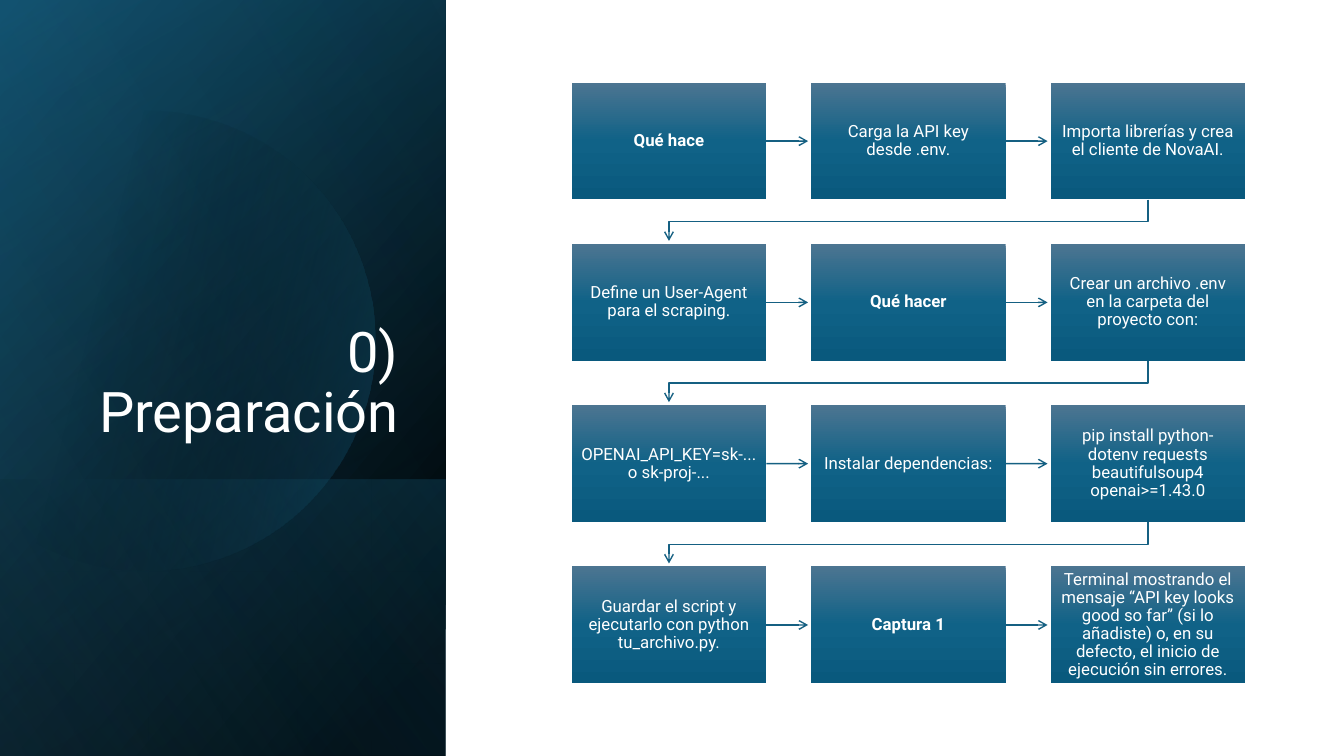
from math import cos, pi, sin

from pptx import Presentation
from pptx.dml.color import RGBColor
from pptx.enum.shapes import MSO_CONNECTOR, MSO_SHAPE
from pptx.enum.text import MSO_ANCHOR, PP_ALIGN
from pptx.oxml import parse_xml
from pptx.oxml.ns import nsdecls, qn
from pptx.util import Inches, Pt

BLACK = RGBColor(0x00, 0x00, 0x00)
WHITE = RGBColor(0xFF, 0xFF, 0xFF)
NAVY = RGBColor(0x10, 0x48, 0x62)
TEAL = RGBColor(0x15, 0x60, 0x82)
SKY = RGBColor(0x46, 0xB1, 0xE1)
BOX_TOP = RGBColor(0x4C, 0x75, 0x91)
BOX_MID = RGBColor(0x10, 0x62, 0x87)
BOX_LOW = RGBColor(0x09, 0x59, 0x7D)
FONT = "Roboto"

COLS = 3
BOX_W, BOX_H = 1.93, 1.16
GAP = 0.03  # between an arrow tip and the next box
# Each step: its lines, and whether it is a heading
STEPS = [
    (["Qué hace"], True),
    (["Carga la API key desde .env."], False),
    (["Importa librerías y crea el cliente de NovaAI."], False),
    (["Define un User-Agent para el scraping."], False),
    (["Qué hacer"], True),
    (["Crear un archivo .env en la carpeta del proyecto con:"], False),
    (["OPENAI_API_KEY=sk-...", "o sk-proj-..."], False),
    (["Instalar dependencias:"], False),
    (["pip install python-dotenv requests beautifulsoup4 openai>=1.43.0"], False),
    (["Guardar el script y ejecutarlo con python tu_archivo.py."], False),
    (["Captura 1"], True),
    (["Terminal mostrando el mensaje “API key looks good so far” (si lo "
      "añadiste) o, en su defecto, el inicio de ejecución sin errores."], False),
]


def shade(shape, stops, angle):
    """Fill with a gradient; a stop is (position %, colour, opacity %)."""
    marks = "".join(
        f'<a:gs pos="{pos * 1000}"><a:srgbClr val="{color}">'
        f'<a:alpha val="{alpha * 1000}"/></a:srgbClr></a:gs>'
        for pos, color, alpha in stops)
    shape.fill.solid()
    props = shape._element.spPr
    props.replace(props.find(qn("a:solidFill")), parse_xml(
        f'<a:gradFill {nsdecls("a")} rotWithShape="1"><a:gsLst>{marks}</a:gsLst>'
        f'<a:lin ang="{angle * 60000}" scaled="0"/></a:gradFill>'))
    shape.line.fill.background()
    shape.shadow.inherit = False


def add_veil(slide, box, stops, angle):
    """Add a mirrored rectangle, turned a quarter, that covers the box."""
    x, y, w, h = box
    shape = slide.shapes.add_shape(
        MSO_SHAPE.RECTANGLE, Inches(x + (w - h) / 2), Inches(y + (h - w) / 2),
        Inches(h), Inches(w))
    shape.rotation = 90
    shape._element.spPr.find(qn("a:xfrm")).set("flipH", "1")
    shade(shape, stops, angle)


def trace(slide, points, close):
    pts = [(Inches(x), Inches(y)) for x, y in points]
    pen = slide.shapes.build_freeform(*pts[0])
    pen.add_line_segments(pts[1:], close=close)
    return pen.convert_to_shape()


def add_disc(slide, box):
    """Add a circle cut off at the left edge of the box."""
    x, y, w, h = box
    mid_x, mid_y, rad = x + 1.44, y + 3.38, 2.28
    turns = [2 * pi * i / 120 for i in range(120)]
    disc = trace(slide, [(max(x, mid_x + rad * cos(t)), mid_y + rad * sin(t))
                         for t in turns], True)
    shade(disc, [(29, BLACK, 0), (100, TEAL, 43)], 14)


def write(para, text, size, bold=False):
    run = para.add_run()
    run.text = text
    run.font.name = FONT
    run.font.size = Pt(size)
    run.font.bold = bold
    run.font.color.rgb = WHITE


def add_panel(slide, box):
    x, y, w, h = box
    low = 2.74
    add_veil(slide, box, [(8, BLACK, 100), (100, NAVY, 100)], 50)
    add_veil(slide, box, [(0, BLACK, 0), (99, TEAL, 46)], 30)
    add_veil(slide, (x, y + h - low, w, low),
             [(2, TEAL, 29), (100, BLACK, 30)], 130)
    add_disc(slide, box)
    add_veil(slide, box, [(0, BLACK, 0), (99, SKY, 11)], 120)
    title = slide.shapes.add_textbox(
        Inches(x + 0.64), Inches(y + 1.84), Inches(3.41), Inches(2.62))
    frame = title.text_frame
    frame.word_wrap = True
    frame.vertical_anchor = MSO_ANCHOR.BOTTOM
    para = frame.paragraphs[0]
    para.alignment = PP_ALIGN.RIGHT
    para.line_spacing = 0.9
    write(para, "0) Preparación", 40)


def add_step(slide, x, y, lines, bold):
    shape = slide.shapes.add_shape(
        MSO_SHAPE.RECTANGLE, Inches(x), Inches(y), Inches(BOX_W), Inches(BOX_H))
    shade(shape, [(0, BOX_TOP, 100), (50, BOX_MID, 100), (100, BOX_LOW, 100)], 90)
    frame = shape.text_frame
    frame.word_wrap = True
    frame.vertical_anchor = MSO_ANCHOR.MIDDLE
    frame.margin_left = frame.margin_right = Inches(0.09)
    frame.margin_top = frame.margin_bottom = Inches(0.1)
    para = frame.paragraphs[0]
    para.alignment = PP_ALIGN.CENTER
    para.line_spacing = 0.9
    for i, line in enumerate(lines):
        if i:
            para.add_line_break()
        write(para, line, 12, bold)
    return shape


def tip(shape):
    """Style a line and give its end an open arrowhead."""
    shape.line.color.rgb = TEAL
    shape.line.width = Pt(1)
    shape.line._get_or_add_ln().append(
        parse_xml(f'<a:tailEnd {nsdecls("a")} type="arrow"/>'))


def add_arrow(slide, step, end, y):
    """Join a step to the next one in its row."""
    line = slide.shapes.add_connector(
        MSO_CONNECTOR.STRAIGHT, step.left + step.width, Inches(y),
        Inches(end), Inches(y))
    line.begin_connect(step, 3)
    tip(line)
    line._element.spPr.append(parse_xml(f'<a:effectLst {nsdecls("a")}/>'))


def add_turn(slide, start, end):
    """Lead from the end of a row down to the start of the next one."""
    (x1, y1), (x2, y2) = start, end
    mid = y1 + 0.22
    path = trace(slide, [(x1, y1), (x1, mid), (x2, mid), (x2, y2)], False)
    path.fill.background()
    path.shadow.inherit = False
    tip(path)


def add_flow(slide, box):
    x, y, w, h = box
    rows = len(STEPS) // COLS
    step_x = (w - BOX_W) / (COLS - 1)
    step_y = (h - BOX_H) / (rows - 1)
    for i, (lines, bold) in enumerate(STEPS):
        row, col = divmod(i, COLS)
        left, top = x + col * step_x, y + row * step_y
        step = add_step(slide, left, top, lines, bold)
        if col < COLS - 1:
            add_arrow(slide, step, left + step_x - GAP, top + BOX_H / 2)
        elif row < rows - 1:
            add_turn(slide, (left + BOX_W / 2, top + BOX_H),
                     (x + BOX_W / 2, top + step_y - GAP))


def main():
    deck = Presentation()
    deck.slide_width, deck.slide_height = Inches(13.33), Inches(7.5)
    slide = deck.slides.add_slide(deck.slide_layouts[6])
    add_panel(slide, (0, 0, 4.42, 7.5))
    add_flow(slide, (5.67, 0.82, 6.68, 5.96))
    deck.save("out.pptx")


if __name__ == "__main__":
    main()
